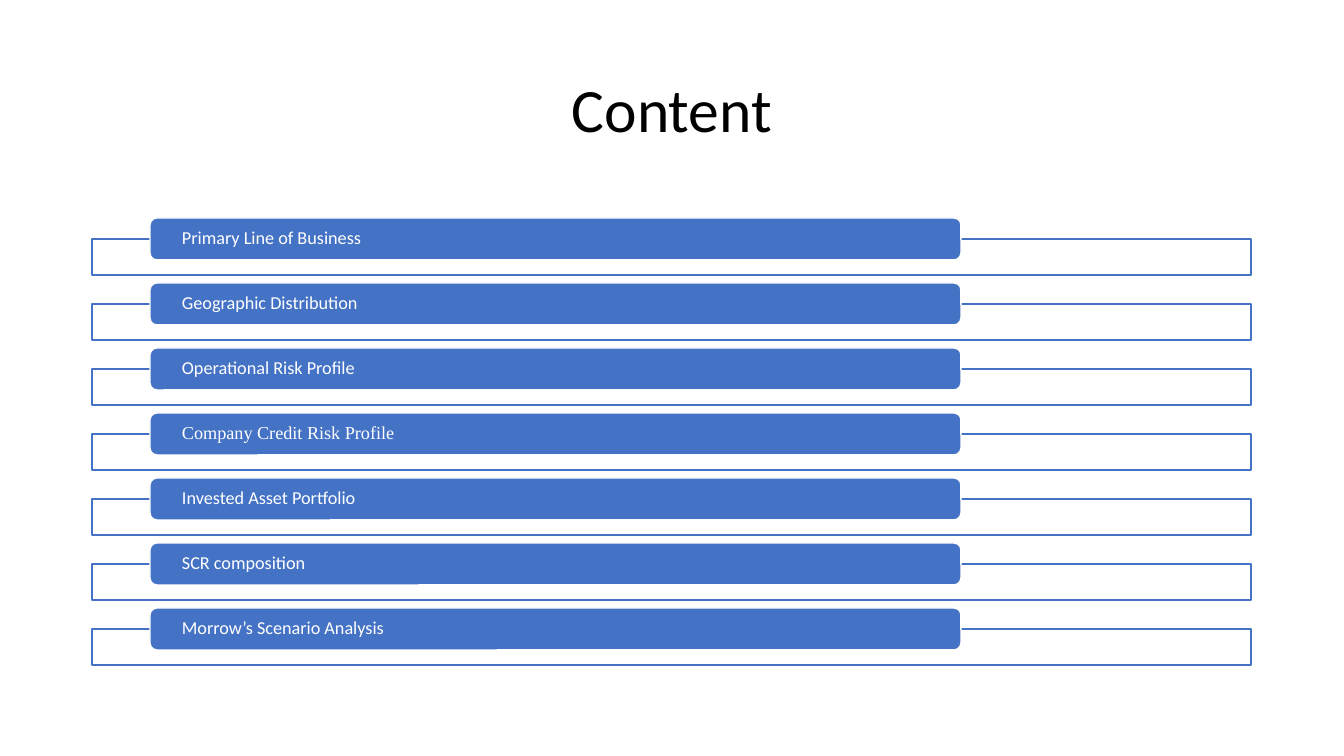
from lxml import etree
from pptx import Presentation
from pptx import util as u
from pptx.dml.color import RGBColor
from pptx.enum import shapes, text
from pptx.oxml.ns import qn

PX = 914400 / 100.8
COLORS = {"bar": "4472C4", "paper": "FFFFFF", "title": "000000"}
TOPICS = [
    "Primary Line of Business",
    "Geographic Distribution",
    "Operational Risk Profile",
    "Company Credit Risk Profile",
    "Invested Asset Portfolio",
    "SCR composition",
    "Morrow’s Scenario Analysis",
]
TOPIC_FONTS = {"Company Credit Risk Profile": "Times New Roman"}
ROW_PITCH = 65


def px(*lengths):
    return [u.Emu(round(length * PX)) for length in lengths]


def rgb(name):
    return RGBColor.from_string(COLORS[name])


def write(frame, words, color, align, inset, **font):
    """Put one vertically centred line of text into a text frame."""
    side, = px(inset)
    layout = {"word_wrap": True, "vertical_anchor": text.MSO_ANCHOR.MIDDLE,
              "margin_left": side, "margin_right": side,
              "margin_top": 0, "margin_bottom": 0}
    for key, value in layout.items():
        setattr(frame, key, value)
    line = frame.paragraphs[0]
    line.alignment, line.line_spacing = align, 0.9
    run = line.add_run()
    run.text = words
    for key, value in font.items():
        setattr(run.font, key, value)
    run.font.color.rgb = rgb(color)


def add_block(slide, preset, box, fill, outline):
    block = slide.shapes.add_shape(preset, *px(*box))
    block.shadow.inherit = False
    block.fill.solid()
    block.fill.fore_color.rgb = rgb(fill)
    block.line.color.rgb = rgb(outline)
    block.line.width = u.Pt(1)
    return block


def add_title(slide, box, words):
    title = slide.shapes.add_textbox(*px(*box))
    write(title.text_frame, words, "title", text.PP_ALIGN.CENTER, 10,
          size=u.Pt(44), name="Calibri")


def add_topic(slide, box, topic):
    """Draw an outlined strip with a rounded label over its top edge."""
    left, top, width, height = box
    strip = add_block(slide, shapes.MSO_SHAPE.RECTANGLE,
                      (left, top + 21, width, height - 21), "paper", "bar")
    strip_color = strip.fill._xPr.find(qn("a:solidFill"))[0]
    etree.SubElement(strip_color, qn("a:alpha"), val="90000")
    label = add_block(slide, shapes.MSO_SHAPE.ROUNDED_RECTANGLE,
                      (left + 58, top, round(width * 0.7), 42), "bar", "paper")
    write(label.text_frame, topic, "paper", text.PP_ALIGN.LEFT, 30,
          size=u.Pt(13), name=TOPIC_FONTS.get(topic, "Calibri"))


def add_topics(slide, box):
    left, top, width, height = box
    for row, topic in enumerate(TOPICS):
        add_topic(slide, (left, top + row * ROW_PITCH, width, height), topic)


def main():
    deck = Presentation()
    deck.slide_width, deck.slide_height = px(1344, 756)
    slide = deck.slides.add_slide(deck.slide_layouts[6])
    add_title(slide, (92, 40, 1160, 146), "Content")
    add_topics(slide, (92, 218, 1159, 57))
    deck.save("out.pptx")


if __name__ == "__main__":
    main()
